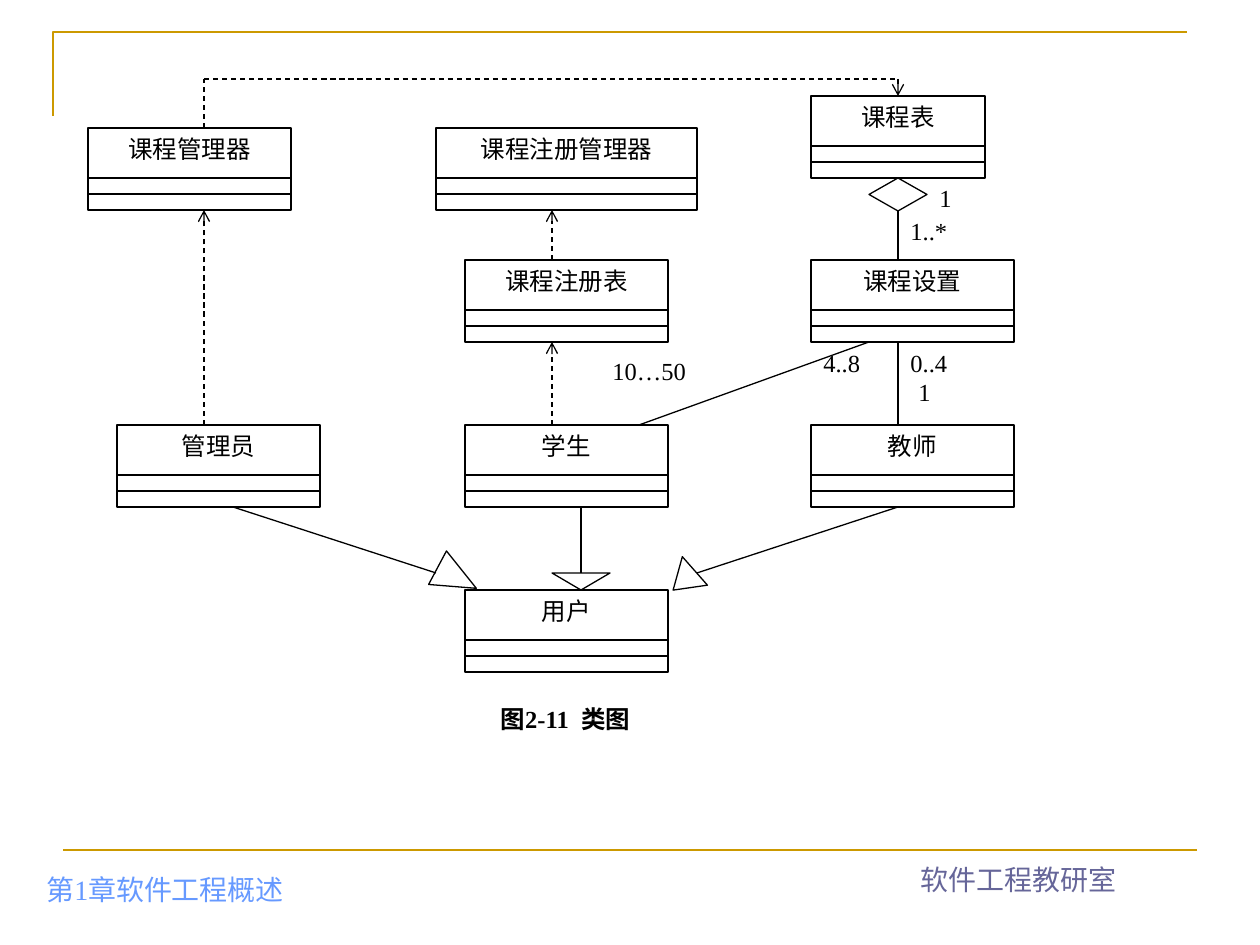
from pptx import Presentation
from pptx.dml.color import RGBColor
from pptx.enum.dml import MSO_LINE
from pptx.enum.shapes import MSO_CONNECTOR, MSO_SHAPE
from pptx.enum.text import MSO_ANCHOR, PP_ALIGN
from pptx.oxml.ns import qn
from pptx.util import Emu, Pt
from lxml.etree import SubElement

EMU_PER_PX = 914400 / 126
FONT = "Times New Roman"
BLACK, WHITE, GOLD = "000000", "FFFFFF", "CC9900"
BOX_W, BOX_H = 203, 82
DIVIDERS = (50, 66)
TOP, LEFT, BOTTOM, RIGHT = range(4)

# Class name: left, top, width
CLASSES = {
    "课程管理器": (88, 128, BOX_W),
    "课程注册管理器": (436, 128, 261),
    "课程表": (811, 96, 174),
    "课程注册表": (465, 260, BOX_W),
    "课程设置": (811, 260, BOX_W),
    "管理员": (117, 425, BOX_W),
    "学生": (465, 425, BOX_W),
    "教师": (811, 425, BOX_W),
    "用户": (465, 590, BOX_W),
}

# Text, left, top, width
MULTIPLICITIES = [
    ("0..4", 898, 342, 116),
    ("4..8", 811, 342, 116),
    ("1", 906, 371, 116),
    ("10…50", 600, 350, 170),
    ("1..*", 898, 210, 145),
    ("1", 927, 177, 87),
]


def px(value):
    return Emu(round(value * EMU_PER_PX))


def color(hex_string):
    return RGBColor.from_string(hex_string)


def style_line(line, line_color=BLACK, width=0.75):
    line.color.rgb = color(line_color)
    line.width = Pt(width)


def write(shape, text, size=14, text_color=BLACK, align=PP_ALIGN.LEFT,
          anchor=MSO_ANCHOR.TOP, bold=False):
    frame = shape.text_frame
    frame.word_wrap = True
    frame.vertical_anchor = anchor
    paragraph = frame.paragraphs[0]
    paragraph.alignment = align
    run = paragraph.add_run()
    run.text = text
    run.font.name = FONT
    run.font.size = Pt(size)
    run.font.bold = bold
    run.font.color.rgb = color(text_color)


def add_label(slide, text, left, top, width, height=49, **style):
    box = slide.shapes.add_textbox(px(left), px(top), px(width), px(height))
    write(box, text, **style)


def add_symbol(slide, kind, left, top, width, height, rotation=0):
    shape = slide.shapes.add_shape(kind, px(left), px(top), px(width), px(height))
    shape.shadow.inherit = False
    shape.fill.solid()
    shape.fill.fore_color.rgb = color(WHITE)
    style_line(shape.line)
    shape.rotation = rotation
    return shape


def add_line(slide, start, end, dashed=False, arrow=False, **style):
    connector = slide.shapes.add_connector(
        MSO_CONNECTOR.STRAIGHT, *map(px, start + end))
    SubElement(connector._element.spPr, qn("a:effectLst"))
    style_line(connector.line, **style)
    if dashed:
        connector.line.dash_style = MSO_LINE.DASH
    if arrow:
        SubElement(connector.line._get_or_add_ln(), qn("a:tailEnd"), type="arrow")
    return connector


def add_class(slide, name, left, top, width):
    box = add_symbol(slide, MSO_SHAPE.RECTANGLE, left, top, width, BOX_H)
    write(box, name, align=PP_ALIGN.CENTER)
    for offset in DIVIDERS:
        add_line(slide, (left, top + offset), (left + width, top + offset))
    return box


def add_frame(slide):
    # Corner rule at the top, rule and captions at the bottom
    builder = slide.shapes.build_freeform(53, 116, scale=EMU_PER_PX)
    builder.add_line_segments([(53, 32), (1187, 32)], close=False)
    corner = builder.convert_to_shape()
    corner.shadow.inherit = False
    corner.fill.background()
    style_line(corner.line, GOLD, 1.5)
    add_line(slide, (63, 850), (1197, 850), line_color=GOLD, width=1.5)
    add_label(slide, "第1章软件工程概述", 34, 849, 397, 63, size=16,
              text_color="6699FF", anchor=MSO_ANCHOR.BOTTOM)
    add_label(slide, "软件工程教研室", 819, 839, 399, 63, size=16,
              text_color="666699", align=PP_ALIGN.CENTER, anchor=MSO_ANCHOR.BOTTOM)


def add_generalizations(slide):
    triangle = add_symbol(slide, MSO_SHAPE.FLOWCHART_MERGE, 552, 573, 58, 17)
    add_line(slide, (581, 573), (581, 507)).begin_connect(triangle, TOP)
    add_symbol(slide, MSO_SHAPE.FLOWCHART_MERGE, 438, 556, 38, 44, 298)
    add_line(slide, (233, 507), (436, 573))
    add_symbol(slide, MSO_SHAPE.FLOWCHART_MERGE, 665, 566, 38, 29, 48.6)
    add_line(slide, (697, 573), (898, 507))


def add_associations(slide):
    add_line(slide, (898, 425), (898, 342))
    add_line(slide, (639, 425), (869, 342))
    diamond = add_symbol(slide, MSO_SHAPE.FLOWCHART_DECISION, 869, 178, 58, 33)
    add_line(slide, (898, 211), (898, 260)).begin_connect(diamond, BOTTOM)


def add_dependencies(slide, timetable):
    for x, start, end in [(552, 425, 342), (552, 260, 210), (204, 425, 210)]:
        add_line(slide, (x, start), (x, end), dashed=True, arrow=True)
    # Route from the course manager over to the timetable
    add_line(slide, (204, 128), (204, 79), dashed=True)
    add_line(slide, (204, 79), (898, 79), dashed=True)
    last = add_line(slide, (898, 79), (898, 96), dashed=True, arrow=True)
    last.end_connect(timetable, TOP)


def main():
    presentation = Presentation()
    presentation.slide_width, presentation.slide_height = px(1260), px(945)
    slide = presentation.slides.add_slide(presentation.slide_layouts[6])

    add_frame(slide)
    boxes = {name: add_class(slide, name, *place) for name, place in CLASSES.items()}
    add_generalizations(slide)
    add_associations(slide)
    add_dependencies(slide, boxes["课程表"])
    for label in MULTIPLICITIES:
        add_label(slide, *label, align=PP_ALIGN.JUSTIFY)
    add_label(slide, "图2-11  类图", 320, 698, 491, align=PP_ALIGN.CENTER, bold=True)

    presentation.save("out.pptx")


if __name__ == "__main__":
    main()
